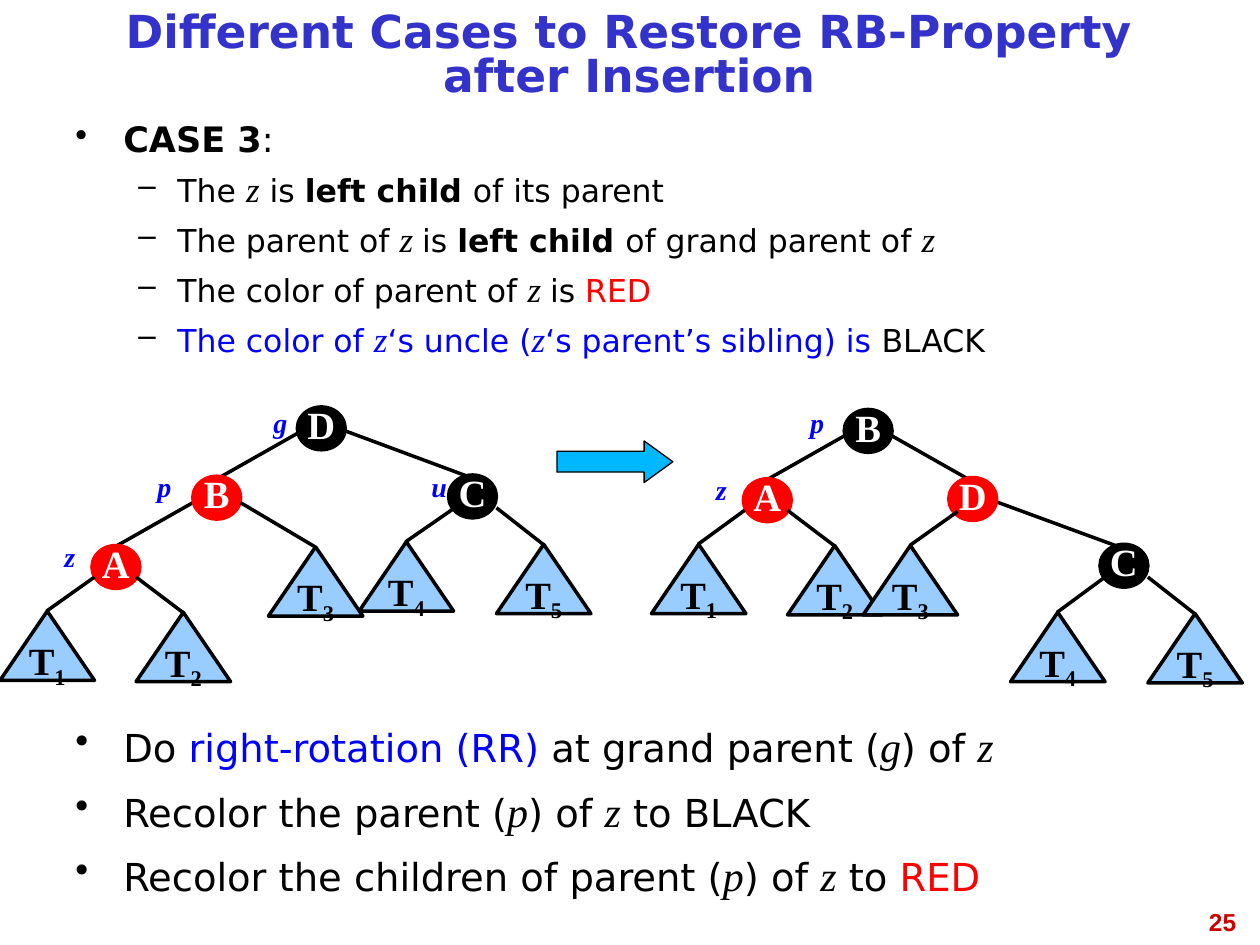
from dataclasses import dataclass

from lxml.etree import SubElement
from pptx import Presentation
from pptx.dml.color import RGBColor
from pptx.enum.shapes import MSO_CONNECTOR as Connector, MSO_SHAPE as Preset
from pptx.enum.text import MSO_ANCHOR as Anchor, PP_ALIGN as Align
from pptx.oxml.ns import qn
from pptx.util import Pt

SCALE = 9144  # EMU per px, 100 px to the inch


@dataclass(frozen=True)
class Theme:
    sans: str = "DejaVu Sans"
    serif: str = "Times New Roman"
    number_font: str = "Arial"
    title: str = "3333CC"
    black: str = "000000"
    white: str = "FFFFFF"
    red: str = "FF0000"
    blue: str = "0000FF"
    subtree: str = "99CCFF"
    arrow: str = "00B8FF"
    number: str = "CC0000"
    title_size: int = 26
    case_size: int = 20
    condition_size: int = 18
    step_size: int = 22
    node_size: int = 22
    label_size: int = 16
    number_size: int = 14
    line_width: float = 2
    tight: float = 0.81


THEME = Theme()
NODE_SIZE = (38, 34)
SUBTREE_SIZE = (75, 55)
LABEL_SIZE = (75, 37)


def px(*lengths):
    return [length * SCALE for length in lengths]


def rgb(color):
    return RGBColor.from_string(color)


def add_run(paragraph, text, size, font, color, bold=False, italic=False):
    run = paragraph.add_run()
    run.text = text
    run.font.size = Pt(size)
    run.font.name = font
    run.font.color.rgb = rgb(color)
    run.font.bold = bold
    run.font.italic = italic
    return run


def add_text_box(slide, box, anchor=Anchor.TOP):
    frame = slide.shapes.add_textbox(*px(*box)).text_frame
    frame.word_wrap = True
    frame.vertical_anchor = anchor
    return frame


def add_line_of_text(slide, box, text, align, anchor=Anchor.TOP, spacing=None, **style):
    paragraph = add_text_box(slide, box, anchor).paragraphs[0]
    paragraph.alignment = align
    paragraph.line_spacing = spacing
    add_run(paragraph, text, **style)


def set_bullet(paragraph, mark, margin, hanging, level):
    properties = paragraph._p.get_or_add_pPr()
    properties.set("marL", str(margin * SCALE))
    properties.set("indent", str(-hanging * SCALE))
    color = SubElement(properties, qn("a:buClr"))
    SubElement(color, qn("a:srgbClr")).set("val", THEME.black)
    SubElement(properties, qn("a:buChar")).set("char", mark)
    paragraph.level = level


def add_item(frame, runs, size, sub=False, spacing=None):
    """Add a bullet; each run is (text, kind), kind being plain, bold, symbol, red or blue."""
    first = not frame.paragraphs[0].runs
    paragraph = frame.paragraphs[0] if first else frame.add_paragraph()
    set_bullet(paragraph, *(("–", 81, 31, 1) if sub else ("•", 38, 38, 0)))
    paragraph.alignment = Align.JUSTIFY
    paragraph.line_spacing = spacing
    paragraph.space_before = Pt(0 if first else 7 if sub else 8)
    for text, kind in runs:
        symbol = kind.startswith("symbol")
        color = {"red": THEME.red, "blue": THEME.blue, "symbol blue": THEME.blue}.get(kind, THEME.black)
        add_run(paragraph, text, size + 2 if symbol else size,
                THEME.serif if symbol else THEME.sans, color, kind == "bold", symbol)


def add_preset(slide, preset, box, fill, line, width=THEME.line_width):
    shape = slide.shapes.add_shape(preset, *px(*box))
    shape.shadow.inherit = False
    shape.fill.solid()
    shape.fill.fore_color.rgb = rgb(fill)
    shape.line.color.rgb = rgb(line)
    shape.line.width = Pt(width)
    return shape


def write_in_shape(shape, text, color, subscript=""):
    frame = shape.text_frame
    frame.word_wrap = False
    frame.vertical_anchor = Anchor.MIDDLE
    paragraph = frame.paragraphs[0]
    paragraph.alignment = Align.CENTER
    paragraph.line_spacing = THEME.tight
    style = dict(size=THEME.node_size, font=THEME.serif, color=color, bold=True)
    add_run(paragraph, text, **style)
    if subscript:
        run = add_run(paragraph, subscript, **style)
        run._r.get_or_add_rPr().set("baseline", "-25000")


def add_edge(slide, start, end):
    edge = slide.shapes.add_connector(Connector.STRAIGHT, *px(*start, *end))
    edge.line.color.rgb = rgb(THEME.black)
    edge.line.width = Pt(THEME.line_width)
    SubElement(edge._element.spPr, qn("a:effectLst"))


def add_node(slide, letter, color, x, y):
    shape = add_preset(slide, Preset.OVAL, (x, y, *NODE_SIZE), color, color)
    write_in_shape(shape, letter, THEME.white)


def add_subtree(slide, number, start, x, y):
    """Add a triangle and the edge that reaches its apex."""
    add_edge(slide, start, (x + SUBTREE_SIZE[0] // 2, y))
    shape = add_preset(slide, Preset.ISOSCELES_TRIANGLE, (x, y, *SUBTREE_SIZE),
                       THEME.subtree, THEME.black)
    write_in_shape(shape, "T", THEME.black, number)


def add_tree(slide, edges, nodes, subtrees, labels):
    for start, end in edges:
        add_edge(slide, start, end)
    for node in nodes:
        add_node(slide, *node)
    for subtree in subtrees:
        add_subtree(slide, *subtree)
    for letter, x, y in labels:
        add_line_of_text(slide, (x, y, *LABEL_SIZE), letter, Align.CENTER, size=THEME.label_size,
                         font=THEME.serif, color=THEME.blue, bold=True, italic=True)


def main():
    presentation = Presentation()
    presentation.slide_width, presentation.slide_height = px(1000, 750)
    slide = presentation.slides.add_slide(presentation.slide_layouts[6])

    # Page number and title
    add_line_of_text(slide, (758, 715, 233, 52), "25", Align.RIGHT, size=THEME.number_size,
                     font=THEME.number_font, color=THEME.number, bold=True)
    add_line_of_text(slide, (50, 8, 899, 75), "Different Cases to Restore RB-Property after Insertion",
                     Align.CENTER, Anchor.MIDDLE, THEME.tight, size=THEME.title_size,
                     font=THEME.sans, color=THEME.title, bold=True)

    # Conditions of the case
    conditions = [
        [("The ", "plain"), ("z", "symbol"), (" is ", "plain"), ("left child ", "bold"),
         ("of its parent", "plain")],
        [("The parent of ", "plain"), ("z ", "symbol"), ("is ", "plain"), ("left child ", "bold"),
         ("of grand parent of ", "plain"), ("z", "symbol")],
        [("The color of parent of ", "plain"), ("z ", "symbol"), ("is ", "plain"), ("RED", "red")],
        [("The color of ", "blue"), ("z", "symbol blue"), ("‘s uncle (", "blue"),
         ("z", "symbol blue"), ("‘s parent’s sibling) is ", "blue"), ("BLACK", "plain")],
    ]
    frame = add_text_box(slide, (50, 92, 899, 200))
    add_item(frame, [("CASE 3", "bold"), (":", "plain")], THEME.case_size, spacing=0.9)
    for runs in conditions:
        add_item(frame, runs, THEME.condition_size, sub=True, spacing=0.9)

    # Steps to take
    steps = [
        [("Do ", "plain"), ("right-rotation (RR)", "blue"), (" at grand parent (", "plain"),
         ("g", "symbol"), (") of ", "plain"), ("z", "symbol")],
        [("Recolor the parent (", "plain"), ("p", "symbol"), (") of ", "plain"), ("z", "symbol"),
         (" to BLACK", "plain")],
        [("Recolor the children of parent (", "plain"), ("p", "symbol"), (") of ", "plain"),
         ("z", "symbol"), (" to ", "plain"), ("RED", "red")],
    ]
    frame = add_text_box(slide, (50, 567, 899, 158))
    for runs in steps:
        add_item(frame, runs, THEME.step_size)

    # Tree before the rotation
    black, red = THEME.black, THEME.red
    add_tree(
        slide,
        edges=[((274, 342), (371, 378)), ((236, 344), (176, 378)), ((153, 399), (93, 433))],
        nodes=[("D", black, 236, 323), ("B", red, 153, 378), ("A", red, 73, 433), ("C", black, 356, 377)],
        subtrees=[("1", (75, 458), 0, 485), ("2", (108, 458), 108, 486), ("4", (361, 403), 285, 430),
                  ("5", (394, 403), 394, 432), ("3", (191, 399), 213, 434)],
        labels=[("p", 93, 368), ("u", 311, 368), ("g", 185, 317), ("z", 18, 423)])

    # Tree after the rotation
    add_tree(
        slide,
        edges=[((790, 398), (888, 434)), ((708, 346), (768, 380)), ((670, 346), (610, 380))],
        nodes=[("D", red, 753, 379), ("B", black, 670, 325), ("A", red, 590, 380), ("C", black, 873, 432)],
        subtrees=[("1", (591, 405), 517, 432), ("2", (625, 405), 625, 433), ("4", (877, 458), 802, 486),
                  ("5", (911, 458), 911, 487), ("3", (760, 406), 685, 433)],
        labels=[("p", 611, 317), ("z", 535, 370)])

    # Arrow between the trees
    arrow = add_preset(slide, Preset.RIGHT_ARROW, (442, 350, 92, 33), THEME.arrow, black, 0.75)
    arrow.adjustments[1] = 0.69

    presentation.save("out.pptx")


if __name__ == "__main__":
    main()
